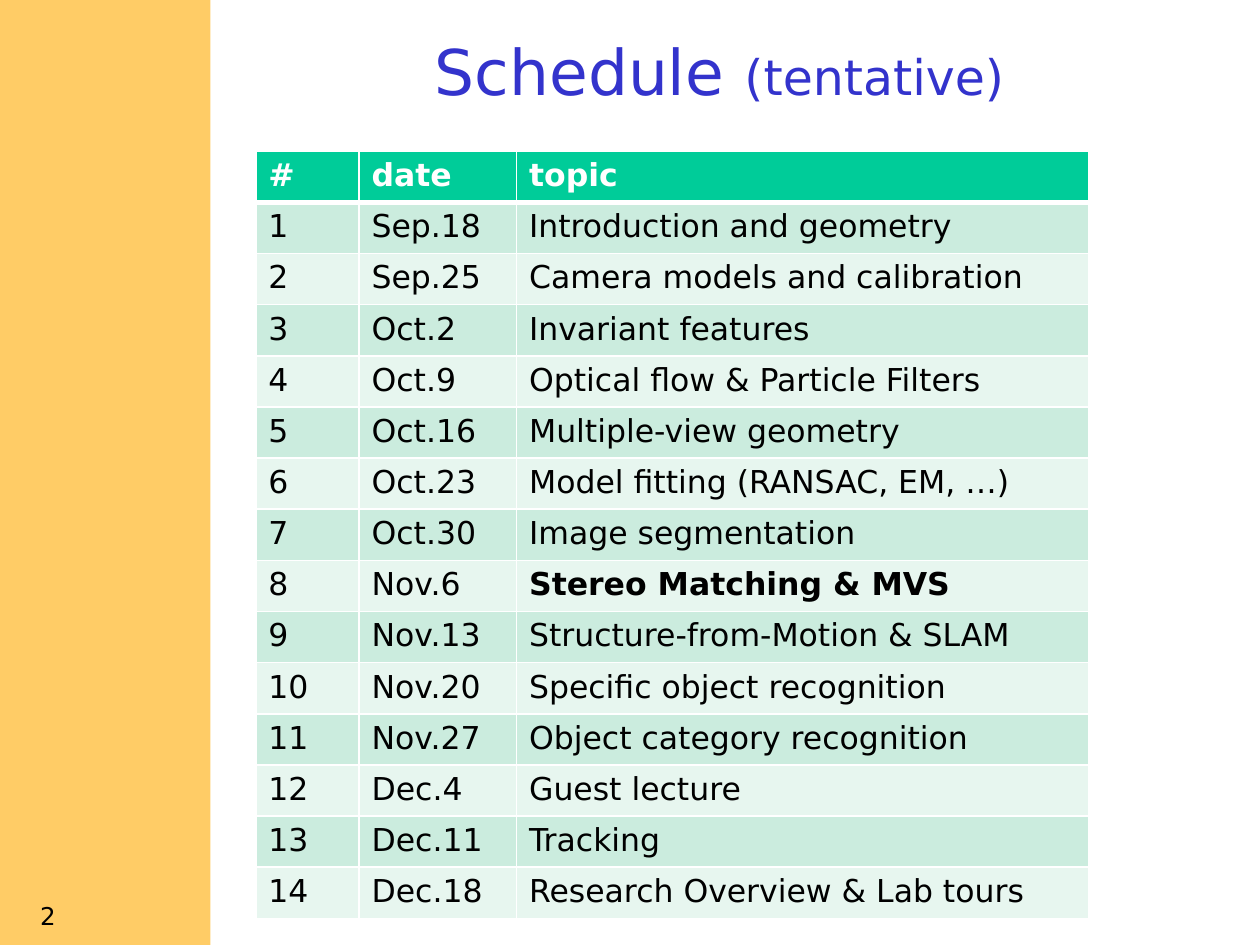
import dataclasses

import lxml.etree
import pptx
import pptx.dml.color
import pptx.enum.shapes
import pptx.enum.text
import pptx.oxml.ns
import pptx.util

ALIGN = pptx.enum.text.PP_ALIGN
ANCHOR = pptx.enum.text.MSO_ANCHOR


@dataclasses.dataclass(frozen=True)
class Theme:
    font: str = "DejaVu Sans"
    sidebar: str = "FFCC66"
    title: str = "3333CC"
    text: str = "000000"
    white: str = "FFFFFF"
    header: str = "00CC99"
    bands: tuple = ("CBECDE", "E7F6EF")
    title_size: int = 36
    subtitle_size: int = 28
    table_size: int = 18
    number_size: int = 14
    rule: int = 1
    header_rule: int = 3


class Deck:
    """Draws on a grid of 100 columns by 75 rows."""

    COLS, ROWS = 100, 75

    def __init__(self, theme):
        self.theme = theme
        self.prs = pptx.Presentation()
        self.prs.slide_width = pptx.util.Inches(10)
        self.prs.slide_height = pptx.util.Inches(7.5)
        self.slide = self.prs.slides.add_slide(self.prs.slide_layouts[5])

    def x(self, cols):
        return round(self.prs.slide_width * cols / self.COLS)

    def y(self, rows):
        return round(self.prs.slide_height * rows / self.ROWS)

    def box(self, left, top, width, height):
        return self.x(left), self.y(top), self.x(width), self.y(height)

    def color(self, value):
        return pptx.dml.color.RGBColor.from_string(value)

    def style(self, font, size, color, bold=False):
        font.name = self.theme.font
        font.size = pptx.util.Pt(size)
        font.bold = bold
        font.color.rgb = self.color(color)

    def sidebar(self, *place):
        sp = self.slide.shapes.add_shape(
            pptx.enum.shapes.MSO_SHAPE.RECTANGLE, *self.box(*place))
        sp.shadow.inherit = False
        sp.fill.solid()
        sp.fill.fore_color.rgb = self.color(self.theme.sidebar)
        sp.line.fill.background()

    def title(self, parts, *place):
        sp = self.slide.shapes.title
        sp.left, sp.top, sp.width, sp.height = self.box(*place)
        tf = sp.text_frame
        tf.vertical_anchor = ANCHOR.MIDDLE
        p = tf.paragraphs[0]
        p.alignment = ALIGN.CENTER
        for text, size in parts:
            r = p.add_run()
            r.text = text
            self.style(r.font, size, self.theme.title)

    def number(self, text, *place):
        tf = self.slide.shapes.add_textbox(*self.box(*place)).text_frame
        tf.word_wrap = True
        p = tf.paragraphs[0]
        p.text = text
        p.alignment = ALIGN.RIGHT
        self.style(p.font, self.theme.number_size, self.theme.text)

    def borders(self, cell, top, bottom):
        props = cell._tc.get_or_add_tcPr()
        qn = pptx.oxml.ns.qn
        widths = {"L": self.theme.rule, "R": self.theme.rule, "T": top, "B": bottom}
        # Border lines come before the fill in the cell properties
        for i, (side, width) in enumerate(widths.items()):
            ln = lxml.etree.Element(qn(f"a:ln{side}"), w=str(pptx.util.Pt(width)))
            fill = lxml.etree.SubElement(ln, qn("a:solidFill"))
            lxml.etree.SubElement(fill, qn("a:srgbClr"), val=self.theme.white)
            props.insert(i, ln)

    def cell(self, cell, text, row, bold):
        th = self.theme
        header = row == 0
        cell.fill.solid()
        cell.fill.fore_color.rgb = self.color(
            th.header if header else th.bands[(row - 1) % 2])
        p = cell.text_frame.paragraphs[0]
        p.text = text
        self.style(p.font, th.table_size, th.white if header else th.text,
                   header or bold)
        self.borders(cell, th.header_rule if row == 1 else th.rule,
                     th.header_rule if header else th.rule)

    def table(self, rows, bold_row, left, top, widths, height):
        table = self.slide.shapes.add_table(
            len(rows), len(widths),
            *self.box(left, top, sum(widths), height)).table
        for column, width in zip(table.columns, widths):
            column.width = self.x(width)
        for i, values in enumerate(rows):
            table.rows[i].height = self.y(height / len(rows))
            for j, text in enumerate(values):
                self.cell(table.cell(i, j), text, i, i == bold_row and j == 2)


LECTURES = [
    ("Sep.18", "Introduction and geometry"),
    ("Sep.25", "Camera models and calibration"),
    ("Oct.2", "Invariant features"),
    ("Oct.9", "Optical flow & Particle Filters"),
    ("Oct.16", "Multiple-view geometry"),
    ("Oct.23", "Model fitting (RANSAC, EM, …)"),
    ("Oct.30", "Image segmentation"),
    ("Nov.6", "Stereo Matching & MVS"),
    ("Nov.13", "Structure-from-Motion & SLAM"),
    ("Nov.20", "Specific object recognition"),
    ("Nov.27", "Object category recognition"),
    ("Dec.4", "Guest lecture"),
    ("Dec.11", "Tracking"),
    ("Dec.18", "Research Overview & Lab tours"),
]
CURRENT_LECTURE = 8


def main():
    theme = Theme()
    deck = Deck(theme)

    # Sidebar, title and slide number
    deck.sidebar(0, 0, 16.7, 75)
    deck.title([("Schedule ", theme.title_size),
                ("(tentative)", theme.subtitle_size)], 16.7, 1.8, 80.8, 7.5)
    deck.number("2", 0, 71, 5.4, 4)

    # Lecture schedule, with the current topic in bold
    rows = [("#", "date", "topic")]
    rows += [(str(n), *lecture) for n, lecture in enumerate(LECTURES, 1)]
    deck.table(rows, CURRENT_LECTURE, 20.3, 12, (8.2, 12.5, 45.4), 60.9)

    deck.prs.save("out.pptx")


if __name__ == "__main__":
    main()
